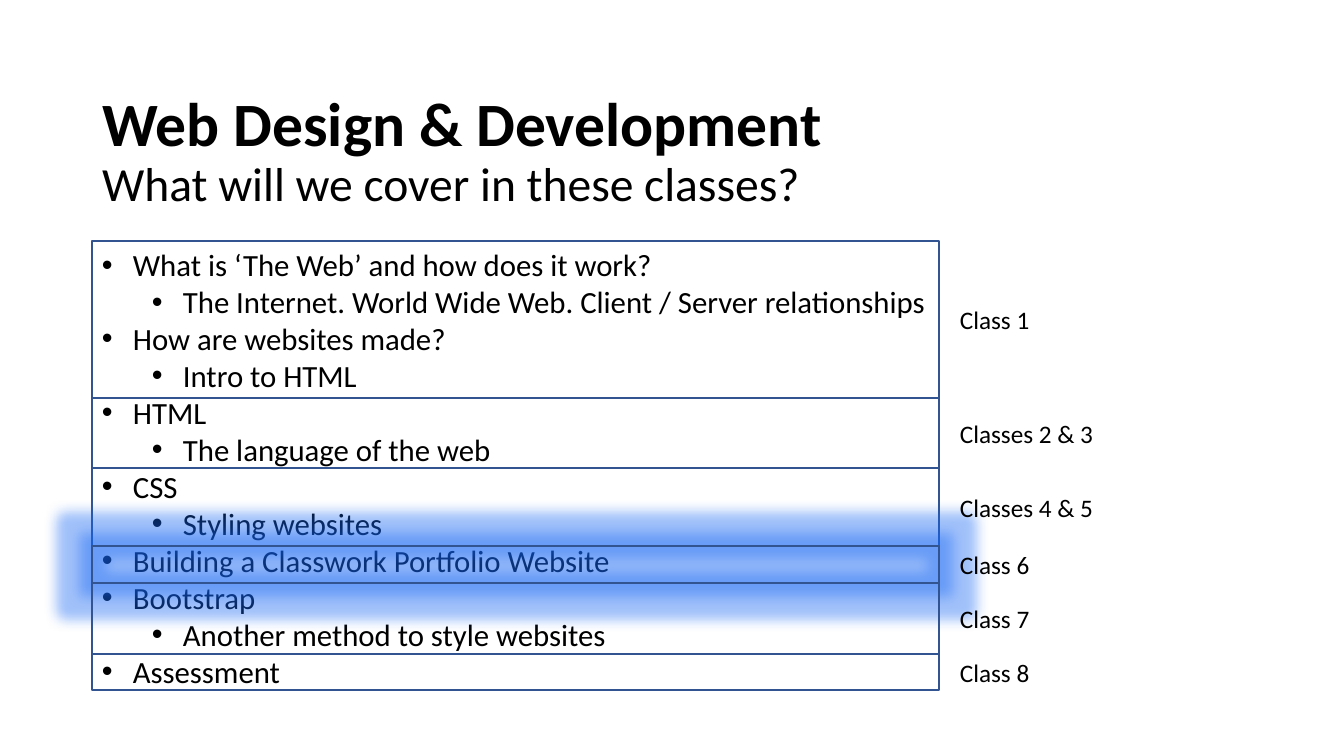
from lxml.etree import SubElement
from pptx import Presentation
from pptx.dml.color import RGBColor
from pptx.enum.shapes import MSO_SHAPE as Shape
from pptx.enum.text import MSO_ANCHOR as Anchor, MSO_AUTO_SIZE as AutoSize, PP_ALIGN as Align
from pptx.oxml import parse_xml
from pptx.oxml.ns import nsdecls, qn
from pptx.util import Inches, Pt

PX = Inches(1) / 100.8
BLACK = RGBColor(0x00, 0x00, 0x00)
OUTLINE = RGBColor(0x32, 0x54, 0x91)
GLOW = RGBColor(0x14, 0x65, 0xF4)

LEFT, TOP, FULL_WIDTH = 92, 241, 1159
BOX_WIDTH = 847
LABEL_LEFT, LABEL_WIDTH, LABEL_HEIGHT = 950, 183, 40
BULLET_INDENT, LEVEL_INDENT = 31, 50

# Class label, bottom edge of its box, topics as (level, text)
CLASSES = [
    ("Class 1", 398, [
        (0, "What is ‘The Web’ and how does it work?"),
        (1, "The Internet. World Wide Web. Client / Server relationships"),
        (0, "How are websites made?"),
        (1, "Intro to HTML"),
    ]),
    ("Classes 2 & 3", 468, [(0, "HTML"), (1, "The language of the web")]),
    ("Classes 4 & 5", 546, [(0, "CSS"), (1, "Styling websites")]),
    ("Class 6", 583, [(0, "Building a Classwork Portfolio Website")]),
    ("Class 7", 654, [(0, "Bootstrap"), (1, "Another method to style websites")]),
    ("Class 8", 690, [(0, "Assessment")]),
]
HIGHLIGHTED = "Class 6"


def px(*lengths):
    return [round(length * PX) for length in lengths]


def set_font(font, size, bold=False):
    formats = {"name": "Calibri", "size": Pt(size), "bold": bold}
    for name, value in formats.items():
        setattr(font, name, value)
    font.color.rgb = BLACK


deck = Presentation()
deck.slide_width, deck.slide_height = px(1344, 756)
page = deck.slides.add_slide(deck.slide_layouts[5])

# Title
title = page.shapes.title
title.left, title.top, title.width, title.height = px(LEFT, 64, FULL_WIDTH, 177)
title.text_frame.vertical_anchor = Anchor.MIDDLE
title.text_frame.auto_size = AutoSize.NONE
para = title.text_frame.paragraphs[0]
para.alignment = Align.LEFT
para.line_spacing = 0.9
span = para.add_run()
span.text = "Web Design & Development"
set_font(span.font, 44, bold=True)
para.add_line_break()
span = para.add_run()
span.text = "What will we cover in these classes?"
set_font(span.font, 34)

# Topic list
topics = page.shapes.add_textbox(*px(LEFT, TOP, FULL_WIDTH, 458))
frame = topics.text_frame
frame.word_wrap = True
frame.auto_size = AutoSize.SHAPE_TO_FIT_TEXT
lines = [line for _, _, class_topics in CLASSES for line in class_topics]
for index, (level, text) in enumerate(lines):
    para = frame.add_paragraph() if index else frame.paragraphs[0]
    para.level = level
    para.line_spacing = Pt(26.4)
    margin, hanging = px(BULLET_INDENT + level * LEVEL_INDENT, -BULLET_INDENT)
    properties = para._p.get_or_add_pPr()
    properties.set("marL", str(margin))
    properties.set("indent", str(hanging))
    SubElement(properties, qn("a:buFont"), typeface="Arial")
    SubElement(properties, qn("a:buChar"), char="•")
    span = para.add_run()
    span.text = text
    set_font(span.font, 22)

# Class boxes
top = TOP
for label, bottom, _ in CLASSES:
    box = page.shapes.add_shape(Shape.RECTANGLE, *px(LEFT, top, BOX_WIDTH, bottom - top))
    box.shadow.inherit = False
    box.fill.background()
    box.line.color.rgb = OUTLINE
    box.line.width = Pt(1)
    if label == HIGHLIGHTED:
        box._element.spPr.find(qn("a:effectLst")).append(parse_xml(
            f'<a:glow {nsdecls("a")} rad="{Pt(18)}"><a:srgbClr val="{GLOW}">'
            '<a:alpha val="40000"/></a:srgbClr></a:glow>'))
    top = bottom

# Class labels, each centred on its box
top = TOP
for label, bottom, _ in CLASSES:
    label_top = (top + bottom - LABEL_HEIGHT) // 2
    box = page.shapes.add_textbox(*px(LABEL_LEFT, label_top, LABEL_WIDTH, LABEL_HEIGHT))
    box.text_frame.word_wrap = True
    box.text_frame.auto_size = AutoSize.SHAPE_TO_FIT_TEXT
    span = box.text_frame.paragraphs[0].add_run()
    span.text = label
    set_font(span.font, 18)
    top = bottom

deck.save("out.pptx")
